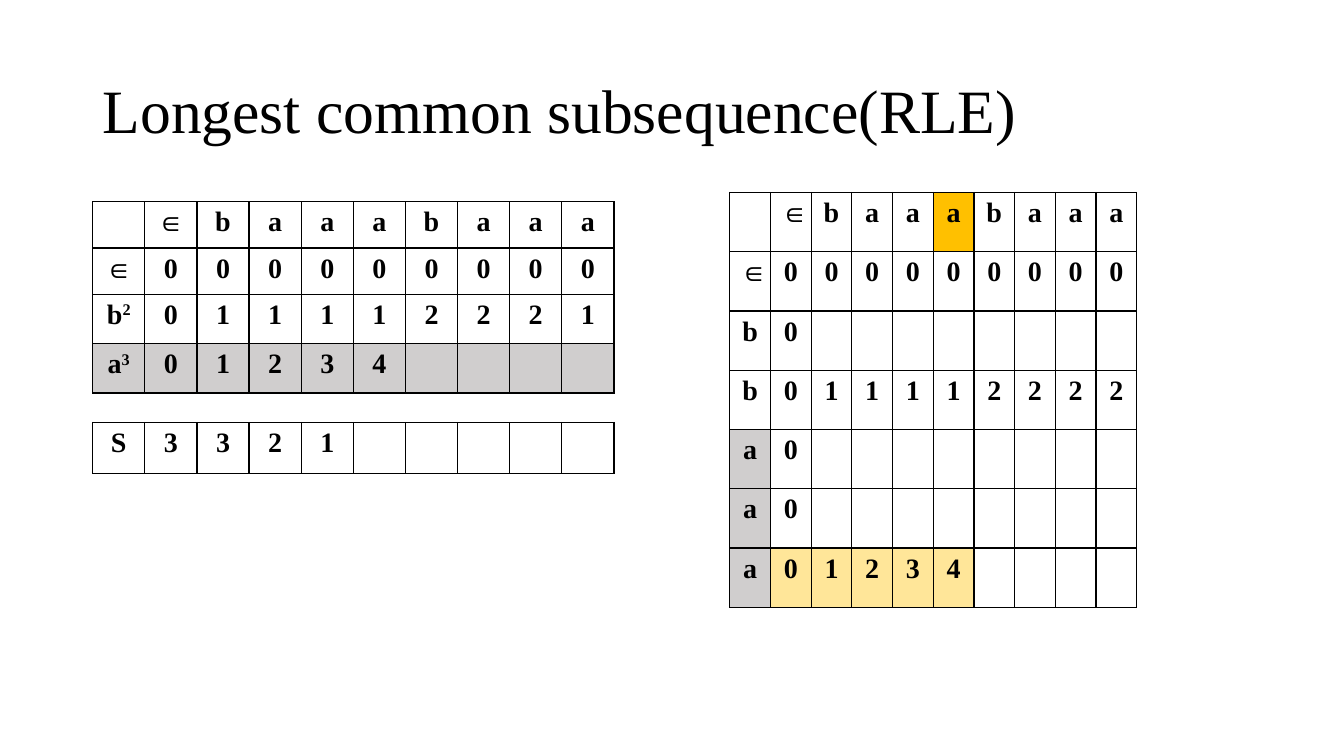
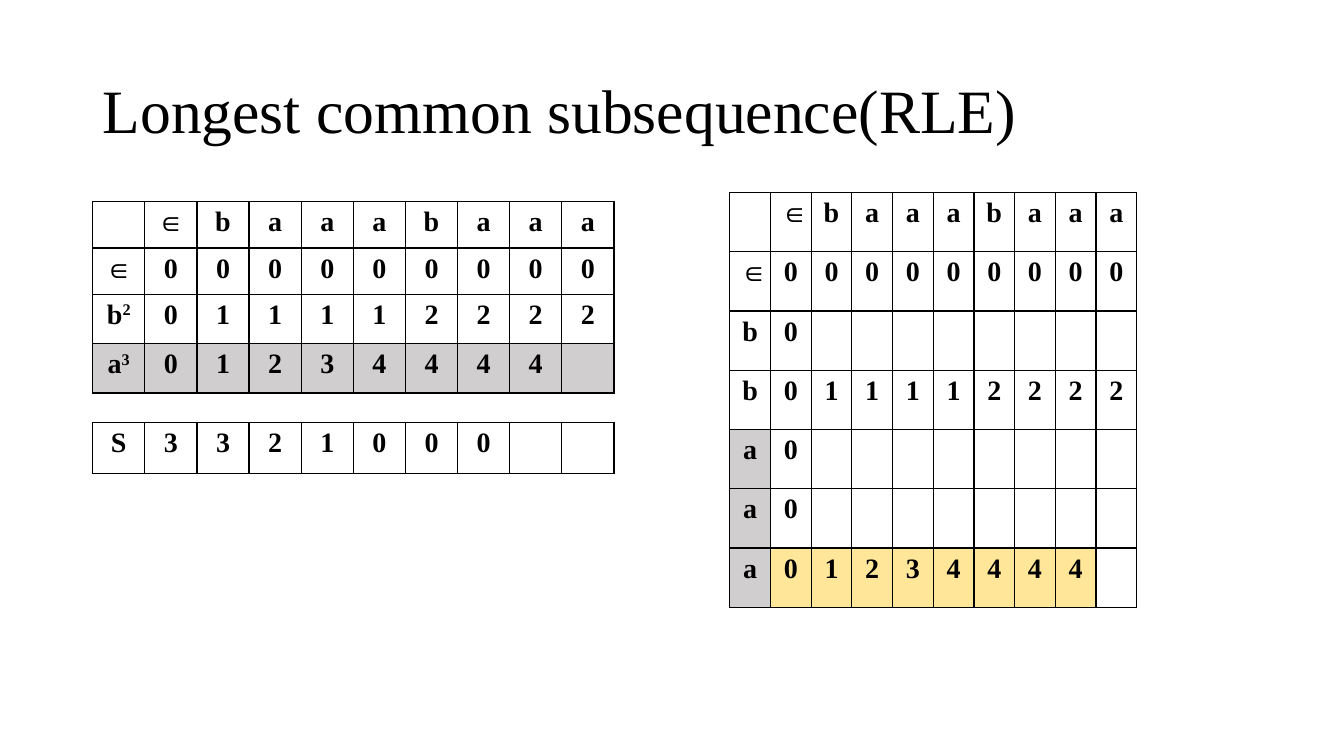
from dataclasses import dataclass

from lxml import etree
from pptx import Presentation, util as u
from pptx.dml.color import RGBColor
from pptx.enum import text
from pptx.oxml import ns

SLIDE_W, SLIDE_H = u.Inches(13.33), u.Inches(7.5)
FONT = "Times New Roman"
BLACK, GREY, AMBER, CREAM = "000000", "D0CECE", "FFC000", "FFE699"
COLUMNS = 10
LEFT_X, RIGHT_X = 6.9, 54.3
HEADER = "∈ b a a a b a a a"
ZEROS = "∈ 0 0 0 0 0 0 0 0 0"


@dataclass
class Highlight:
    row: int
    first: int
    last: int
    color: str


@dataclass
class Grid:
    """Table placed in percent of the slide; rows align to the right edge of their labels."""
    left: float
    top: float
    col_width: float
    row_heights: list[float]
    rows: list[list[str]]
    highlights: list[Highlight]


@dataclass
class Step:
    """One stage of the algorithm."""
    b_row: str
    a_row: str
    skips: str
    marked_column: int | None = None


STEPS = [
    Step("0 1 1 1 1 2 2 2 1", "0 1 2 3 4", "3 3 2 1", marked_column=5),
    Step("0 1 1 1 1 2 2 2 2", "0 1 2 3 4 4 4 4", "3 3 2 1 0 0 0"),
]


def across(percent: float) -> int:
    return round(SLIDE_W * percent / 100)


def down(percent: float) -> int:
    return round(SLIDE_H * percent / 100)


def rgb(color: str) -> RGBColor:
    return RGBColor.from_string(color)


def style_run(r, size: int, bold: bool = False) -> None:
    r.font.name, r.font.size, r.font.bold = FONT, u.Pt(size), bold
    r.font.color.rgb = rgb(BLACK)


def add_title(s, title: str) -> None:
    box = s.shapes.add_textbox(across(6.9), down(5.33), across(86.27), down(19.33))
    tf = box.text_frame
    tf.word_wrap = True
    tf.vertical_anchor = text.MSO_ANCHOR.MIDDLE
    tf.text = title
    p = tf.paragraphs[0]
    p.line_spacing = 0.9
    style_run(p.runs[0], 44)


def add_borders(cell) -> None:
    props = cell._tc.get_or_add_tcPr()
    for i, side in enumerate(("lnL", "lnR", "lnT", "lnB")):
        line = etree.Element(ns.qn(f"a:{side}"), w=str(u.Pt(1)))
        fill = etree.SubElement(line, ns.qn("a:solidFill"))
        etree.SubElement(fill, ns.qn("a:srgbClr"), val=BLACK)
        props.insert(i, line)


def fill_cell(cell, content: str) -> None:
    """Write a label such as b^2, where the part after ^ is raised."""
    cell.fill.background()
    add_borders(cell)
    if not content:
        return
    base, _, exponent = content.partition("^")
    cell.text_frame.text = base
    p = cell.text_frame.paragraphs[0]
    p.alignment = text.PP_ALIGN.CENTER
    if exponent:
        r = p.add_run()
        r.text = exponent
        r._r.get_or_add_rPr().set("baseline", "30000")
    for r in p.runs:
        style_run(r, 20, bold=True)


def add_grid(s, grid: Grid) -> None:
    table = s.shapes.add_table(
        len(grid.rows), COLUMNS, across(grid.left), down(grid.top),
        across(grid.col_width * COLUMNS), down(sum(grid.row_heights))).table
    table.first_row = table.horz_banding = False
    for column in table.columns:
        column.width = across(grid.col_width)
    for i, (height, labels) in enumerate(zip(grid.row_heights, grid.rows)):
        table.rows[i].height = down(height)
        for j in range(COLUMNS):
            fill_cell(table.cell(i, j), labels[j] if j < len(labels) else "")
    for h in grid.highlights:
        for j in range(h.first, h.last + 1):
            fill = table.cell(h.row, j).fill
            fill.solid()
            fill.fore_color.rgb = rgb(h.color)


def step_grids(step: Step) -> list[Grid]:
    top_rows = [["", *HEADER.split()], ZEROS.split()]
    a_row = step.a_row.split()
    compressed = Grid(
        LEFT_X, 26.67, 3.88, [6.13, 6.13, 6.53, 6.53],
        top_rows + [["b^2", *step.b_row.split()], ["a^3", *a_row]],
        [Highlight(3, 0, COLUMNS - 1, GREY)])
    skips = Grid(LEFT_X, 55.87, 3.88, [6.8], [["S", *step.skips.split()]], [])
    expanded = Grid(
        RIGHT_X, 25.47, 3.03, [7.84] * 7,
        top_rows + [["b", "0"], "b 0 1 1 1 1 2 2 2 2".split(),
                    ["a", "0"], ["a", "0"], ["a", *a_row]],
        [Highlight(row, 0, 0, GREY) for row in (4, 5, 6)]
        + [Highlight(6, 1, len(a_row), CREAM)])
    if step.marked_column is not None:
        expanded.highlights.append(
            Highlight(0, step.marked_column, step.marked_column, AMBER))
    return [compressed, skips, expanded]


def main() -> None:
    prs = Presentation()
    prs.slide_width, prs.slide_height = SLIDE_W, SLIDE_H
    for step in STEPS:
        s = prs.slides.add_slide(prs.slide_layouts[6])
        add_title(s, "Longest common subsequence(RLE)")
        for grid in step_grids(step):
            add_grid(s, grid)
    prs.save("out.pptx")


if __name__ == "__main__":
    main()
